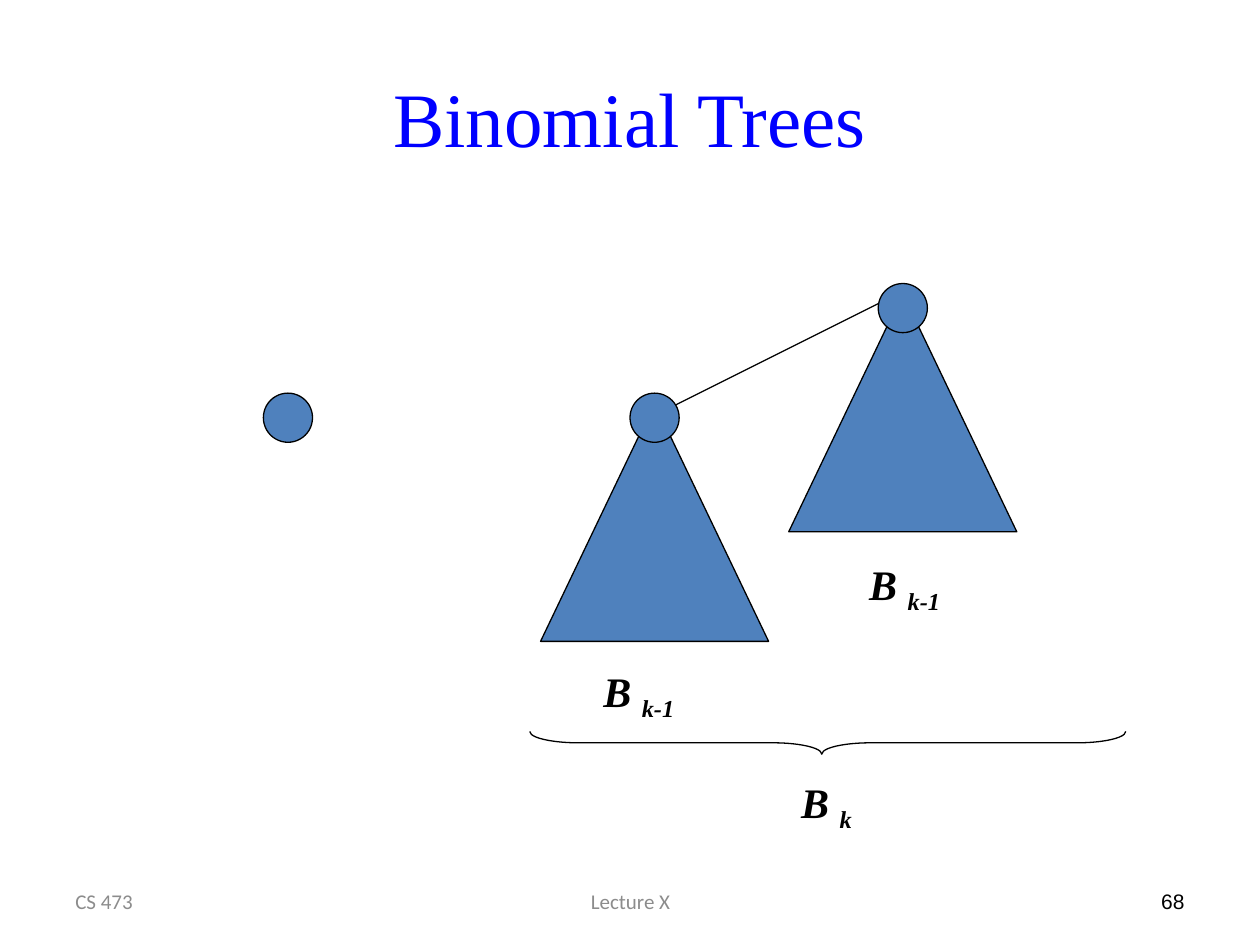
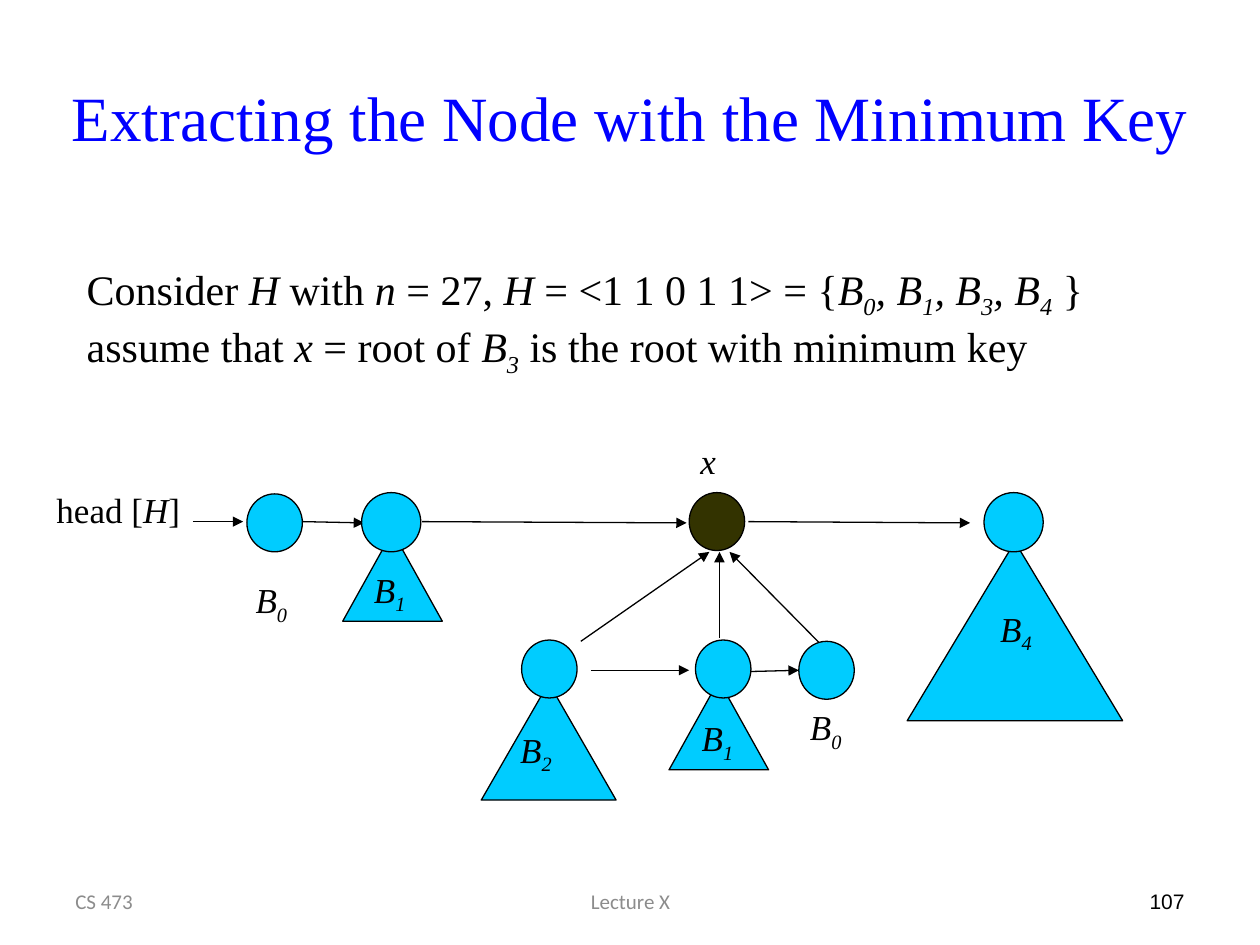
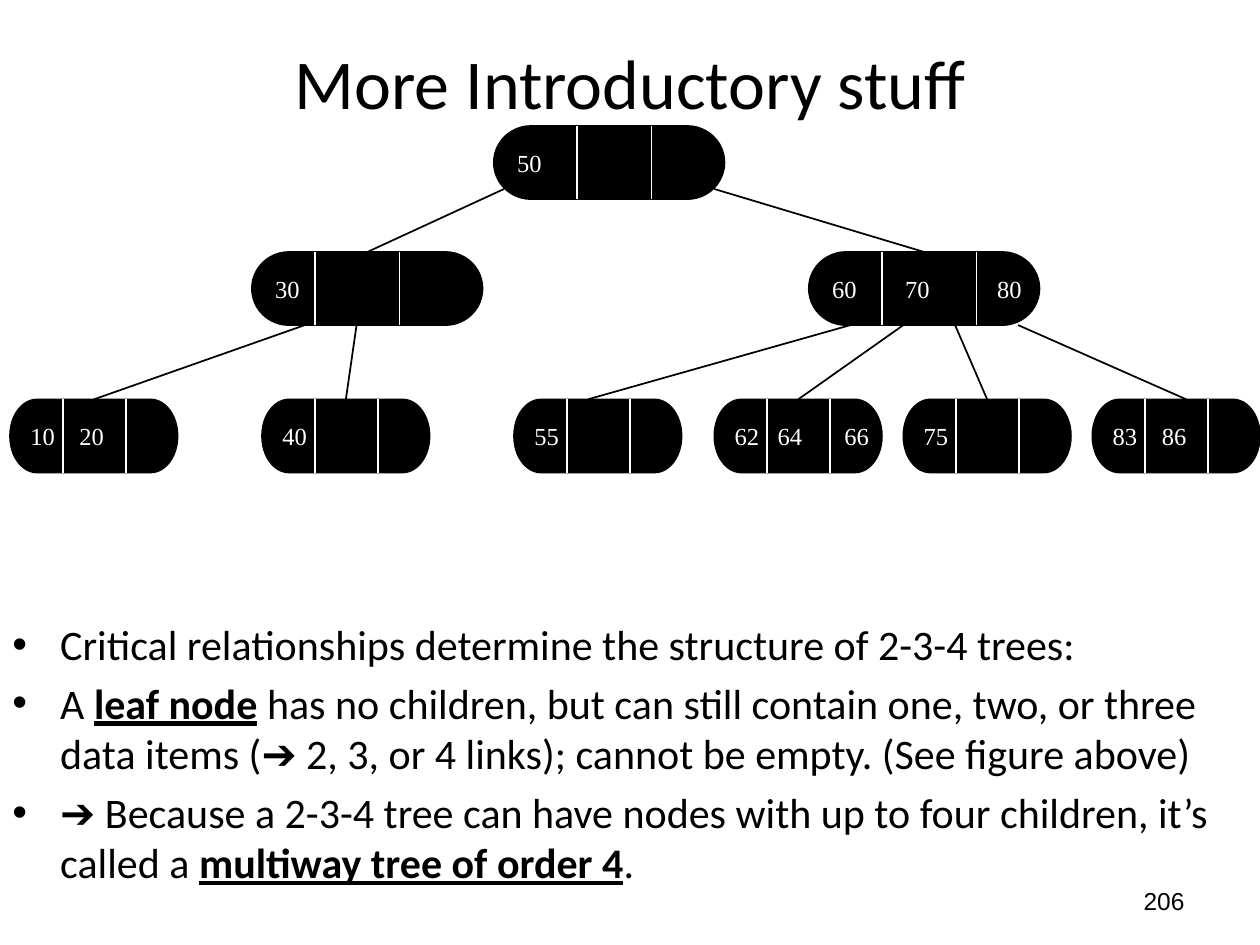
"""Build three lecture slides on binomial heaps and 2-3-4 trees."""
from lxml import etree
from pptx import Presentation
from pptx import util as u
from pptx.dml.color import RGBColor
from pptx.enum import shapes, text
from pptx.oxml import ns

BLACK, WHITE = RGBColor(0, 0, 0), RGBColor(255, 255, 255)
GREY, TITLE_BLUE = RGBColor(0x8C, 0x8C, 0x8C), RGBColor(0, 0, 255)
STEEL, CYAN = RGBColor(0x4F, 0x81, 0xBD), RGBColor(0, 0xCC, 0xFF)
OLIVE = RGBColor(0x33, 0x33, 0)
SERIF, SANS, NUMBER_FONT = "Times New Roman", "Calibri", "Arial"
KIND = shapes.MSO_SHAPE
LEFT, CENTER, RIGHT = text.PP_ALIGN.LEFT, text.PP_ALIGN.CENTER, text.PP_ALIGN.RIGHT
MIDDLE, TOP = text.MSO_ANCHOR.MIDDLE, text.MSO_ANCHOR.TOP
FOOTER_TOP, FOOTER_HEIGHT = 6.95, 0.4

BINOMIAL_ROOTS = [(5, 3.12), (6.97, 2.25)]
SINGLE_NODE = (2.09, 3.12)
NODE_SIZE = 0.39
SUBTREE_WIDTH, SUBTREE_HEIGHT, SUBTREE_DROP = 1.81, 1.89, 0.08
BINOMIAL_LABELS = [(4.69, 5.23, "k-1"), (6.8, 4.38, "k-1"), (6.26, 6.11, "k")]

HEAP_TEXT = [
    ("Consider ", ""), ("H", "i"), (" with ", ""), ("n ", "i"), ("= 27, ", ""),
    ("H ", "i"), ("= <1 1 0 1 1> = {", ""), ("B", "i"), ("0", "is"), (", B", "i"),
    ("1", "is"), (", B", "i"), ("3", "is"), (", B", "i"), ("4", "is"),
    (" } assume that ", ""), ("x ", "i"), ("= root of ", ""), ("B", "i"),
    ("3", "is"), (" is the root with minimum key", ""),
]
HEAP_ARROWS = [
    (5.94, 4.14, 7.7, 4.15), (1.53, 4.14, 1.93, 4.14), (2.4, 4.14, 2.89, 4.15),
    (3.35, 4.14, 5.45, 4.15), (4.69, 5.32, 5.47, 5.32), (5.94, 5.33, 6.34, 5.32),
    (4.61, 5.09, 5.63, 4.38), (5.71, 5.06, 5.71, 4.38), (6.55, 5.15, 5.79, 4.38),
]
HEAP_TRIANGLES = [(2.72, 4.22, 0.79, 0.71), (3.82, 5.42, 1.07, 0.93),
                  (5.31, 5.4, 0.79, 0.71), (7.2, 4.3, 1.71, 1.42)]
SMALL, LARGE = (0.44, 0.46), (0.47, 0.47)
HEAP_NODES = [
    (1.96, 3.92, SMALL, CYAN), (2.87, 3.91, LARGE, CYAN), (5.47, 3.91, SMALL, OLIVE),
    (7.81, 3.91, LARGE, CYAN), (4.14, 5.08, SMALL, CYAN), (5.52, 5.08, SMALL, CYAN),
    (6.34, 5.09, SMALL, CYAN),
]
HEAP_LABELS = [(1.93, 4.54, "0"), (2.87, 4.46, "1"), (4.03, 5.73, "2"),
               (5.47, 5.64, "1"), (6.33, 5.55, "0"), (7.84, 4.77, "4")]

LEVEL_TOPS, LEVEL_WIDTHS, KEY_HEIGHT = (1, 2, 3.17), (1.83, 1.83, 1.33), 0.58
LEAF_DIVIDERS, PAIR_TABS = (0.42, 0.92), (0.39,)
KEY_NODES = [
    (0, 3.92, "50", (0.66, 1.25), ()),
    (1, 2, "30", (0.5, 1.17), ()),
    (1, 6.42, "60\t70\t80", (0.58, 1.33), (0.58, 1.31)),
    (2, 0.08, "10\t20", LEAF_DIVIDERS, PAIR_TABS),
    (2, 2.08, "40", LEAF_DIVIDERS, ()),
    (2, 4.08, "55", LEAF_DIVIDERS, ()),
    (2, 5.67, "62\t64\t66", LEAF_DIVIDERS, (0.34, 0.87)),
    (2, 7.17, "75", LEAF_DIVIDERS, ()),
    (2, 8.67, "83\t86", LEAF_DIVIDERS, PAIR_TABS),
]
KEY_LINKS = [
    (4, 1.5, 1, 0), (5.67, 1.5, 2, 0), (2.42, 2.58, 3, 0), (2.83, 2.58, 4, 0),
    (6.75, 2.58, 5, -0.08), (7.17, 2.58, 6, 0), (7.58, 2.58, 7, 0),
    (8.08, 2.58, 8, 0.08),
]
BULLETS = [
    [("Critical relationships determine the structure of 2-3-4 trees:", "")],
    [("A ", ""), ("leaf node", "bu"),
     (" has no children, but can still contain one, two, or three data items "
      "(➔ 2, 3, or 4 links); cannot be empty. (See figure above)", "")],
    [("➔ Because a 2-3-4 tree can have nodes with up to four children, "
      "it’s called a ", ""), ("multiway tree of order 4", "bu"), (".", "")],
]


def inches(*lengths):
    return [u.Inches(length) for length in lengths]


def add_child(parent, tag, **attributes):
    return etree.SubElement(parent, ns.qn(tag), **attributes)


def style_font(font, size, name, color, style=""):
    font.size, font.name = u.Pt(size), name
    font.color.rgb = color
    if "b" in style:
        font.bold = True
    if "i" in style:
        font.italic = True


def add_spans(para, spans):
    for words, style in spans:
        span = para.add_run()
        span.text = words
        if "b" in style:
            span.font.bold = True
        if "i" in style:
            span.font.italic = True
        if "u" in style:
            span.font.underline = True
        if "s" in style:
            span._r.get_or_add_rPr().set("baseline", "-25000")


def add_text(page, at, spans, size, name=SERIF, color=BLACK, style="",
             align=LEFT, anchor=TOP):
    box = page.shapes.add_textbox(*inches(*at))
    box.text_frame.word_wrap = True
    box.text_frame.vertical_anchor = anchor
    para = box.text_frame.paragraphs[0]
    para.alignment = align
    style_font(para.font, size, name, color, style)
    add_spans(para, [(spans, "")] if isinstance(spans, str) else spans)


def add_figure(page, kind, at, fill=None, weight=0.75):
    figure = page.shapes.add_shape(kind, *inches(*at))
    figure.shadow.inherit = False
    if fill is None:
        figure.fill.background()
    else:
        figure.fill.solid()
        figure.fill.fore_color.rgb = fill
    figure.line.color.rgb = BLACK
    figure.line.width = u.Pt(weight)
    return figure


def add_line(page, ends, color=BLACK, weight=0.75, arrow=False):
    line = page.shapes.add_connector(shapes.MSO_CONNECTOR.STRAIGHT, *inches(*ends))
    line.line.color.rgb = color
    line.line.width = u.Pt(weight)
    if arrow:
        add_child(line.line._get_or_add_ln(), "a:tailEnd", type="triangle")
    add_child(line._element.spPr, "a:effectLst")
    return line


def add_page(deck, title, number, at=(0.5, 0.3, 9, 1.25), size=44, name=SERIF,
             color=TITLE_BLUE, number_size=12, course=True):
    page = deck.slides.add_slide(deck.slide_layouts[6])
    add_text(page, at, title, size, name, color, align=CENTER, anchor=MIDDLE)
    footers = [(7.17, 2.33, number, NUMBER_FONT, BLACK, RIGHT, number_size)]
    if course:
        footers += [(0.5, 2.33, "CS 473", SANS, GREY, LEFT, 12),
                    (3.42, 3.17, "Lecture X", SANS, GREY, CENTER, 12)]
    for left, width, words, font, tint, align, points in footers:
        add_text(page, (left, FOOTER_TOP, width, FOOTER_HEIGHT), words, points,
                 font, tint, align=align, anchor=MIDDLE)
    return page


def add_binomial_trees(deck):
    page = add_page(deck, "Binomial Trees", "68")
    for left, top in BINOMIAL_ROOTS:
        subtree_left = left + (NODE_SIZE - SUBTREE_WIDTH) / 2
        add_figure(page, KIND.ISOSCELES_TRIANGLE,
                   (subtree_left, top + SUBTREE_DROP, SUBTREE_WIDTH, SUBTREE_HEIGHT),
                   STEEL)
    add_line(page, (5.31, 3.24, 7.05, 2.37))
    for left, top in [SINGLE_NODE, *BINOMIAL_ROOTS]:
        add_figure(page, KIND.OVAL, (left, top, NODE_SIZE, NODE_SIZE), STEEL)
    for left, top, order in BINOMIAL_LABELS:
        add_text(page, (left, top, 0.9, 0.51), [("B ", ""), (order, "s")], 24,
                 style="bi")
    brace = add_figure(page, KIND.LEFT_BRACE, (6.48, 3.53, 0.18, 4.73))
    brace.rotation = 270
    brace.adjustments[0], brace.adjustments[1] = 2.14, 0.49


def add_minimum_extraction(deck):
    page = add_page(deck, "Extracting the Node with the Minimum Key", "107",
                    at=(0, 0.3, 10, 1.25), size=36)
    add_text(page, (0.59, 2.04, 9.06, 0.9), HEAP_TEXT, 24)
    for ends in HEAP_ARROWS:
        add_line(page, ends, arrow=True)
    for at in HEAP_TRIANGLES:
        add_figure(page, KIND.ISOSCELES_TRIANGLE, at, CYAN)
    for left, top, size, fill in HEAP_NODES:
        add_figure(page, KIND.OVAL, (left, top, *size), fill)
    add_text(page, (0.35, 3.83, 1.3, 0.43), [("head [", ""), ("H", "i"), ("]", "")], 20)
    add_text(page, (5.46, 3.44, 0.4, 0.43), "x", 20, style="i")
    for left, top, order in HEAP_LABELS:
        add_text(page, (left, top, 0.7, 0.43), [("B", ""), (order, "s")], 20, style="i")


def add_key_node(page, level, left, keys, dividers, tabs):
    top = LEVEL_TOPS[level]
    node = add_figure(page, KIND.FLOWCHART_TERMINATOR,
                      (left, top, LEVEL_WIDTHS[level], KEY_HEIGHT), BLACK, 1)
    frame = node.text_frame
    frame.word_wrap, frame.vertical_anchor, frame.margin_right = True, MIDDLE, 0
    para = frame.paragraphs[0]
    para.alignment = LEFT
    if tabs:
        stops = add_child(para._p.get_or_add_pPr(), "a:tabLst")
        for tab in tabs:
            add_child(stops, "a:tab", pos=str(u.Inches(tab)), algn="l")
    style_font(para.font, 14, SERIF, WHITE)
    add_spans(para, [(keys, "")])
    for offset in dividers:
        add_line(page, (left + offset, top, left + offset, top + KEY_HEIGHT), WHITE, 1)
    return node


def add_bullets(page):
    box = page.shapes.add_textbox(*inches(0, 4.86, 9.83, 2.47))
    frame = box.text_frame
    frame.word_wrap = True
    for index, spans in enumerate(BULLETS):
        para = frame.add_paragraph() if index else frame.paragraphs[0]
        if index:
            para.space_before = u.Pt(4.8)
        properties = para._p.get_or_add_pPr()
        indent = u.Inches(0.38)
        properties.set("marL", str(indent))
        properties.set("indent", str(-indent))
        add_child(properties, "a:buFont", typeface=NUMBER_FONT)
        add_child(properties, "a:buChar", char="•")
        style_font(para.font, 24, SANS, BLACK)
        add_spans(para, spans)


def add_multiway_tree(deck):
    page = add_page(deck, "More Introductory stuff", "206",
                    at=(0.69, -0.08, 8.62, 1.45), size=40, name=SANS, color=BLACK,
                    number_size=14, course=False)
    add_bullets(page)
    nodes = [add_key_node(page, *node) for node in KEY_NODES]
    for left, top, child, shift in KEY_LINKS:
        level, child_left = KEY_NODES[child][:2]
        end = child_left + LEVEL_WIDTHS[level] / 2 + shift
        link = add_line(page, (left, top, end, LEVEL_TOPS[level]), weight=1)
        if not shift:
            link.end_connect(nodes[child], 0)


def main():
    deck = Presentation()
    deck.slide_width, deck.slide_height = inches(10, 7.5)
    add_binomial_trees(deck)
    add_minimum_extraction(deck)
    add_multiway_tree(deck)
    deck.save("out.pptx")


if __name__ == "__main__":
    main()
